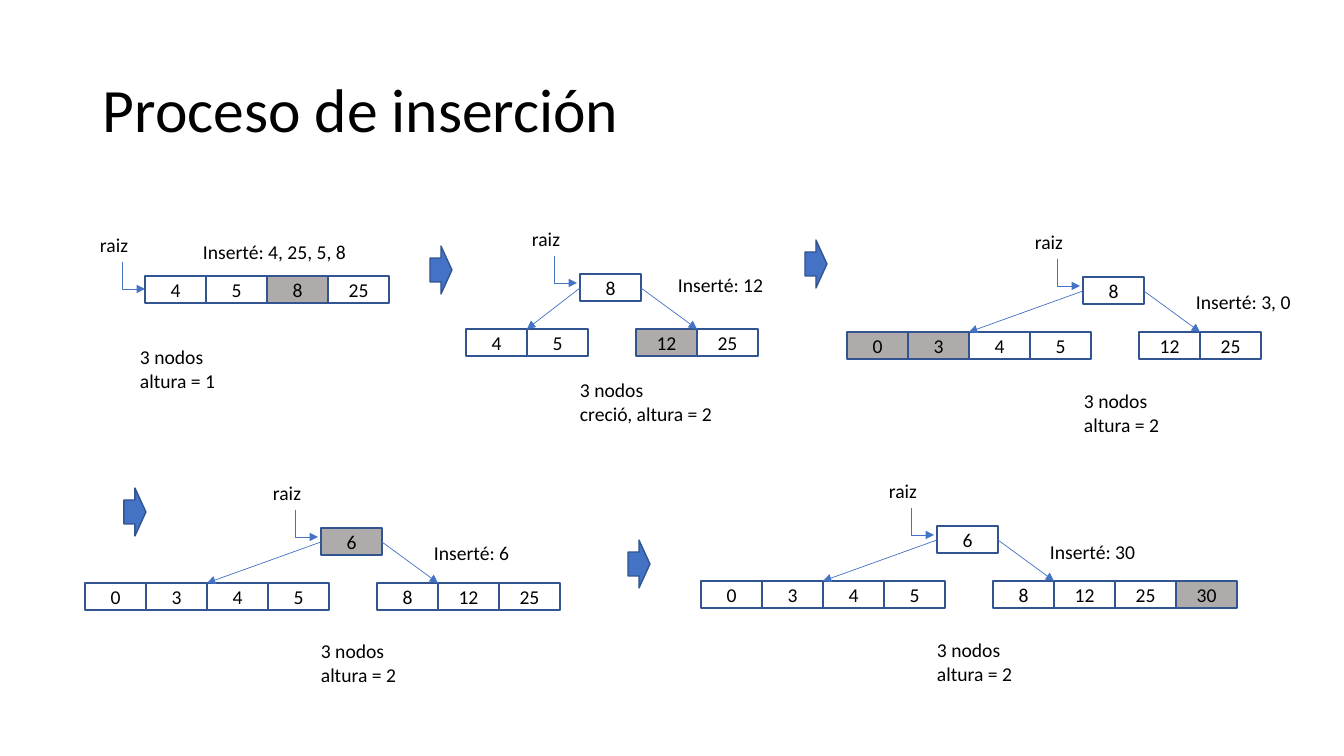
from lxml import etree
from pptx import Presentation
from pptx.dml.color import RGBColor
from pptx.enum.shapes import MSO_CONNECTOR, MSO_SHAPE
from pptx.enum.text import MSO_ANCHOR, PP_ALIGN
from pptx.oxml.ns import qn
from pptx.util import Pt

STRAIGHT = MSO_CONNECTOR.STRAIGHT
RECTANGLE, RIGHT_ARROW = MSO_SHAPE.RECTANGLE, MSO_SHAPE.RIGHT_ARROW
TOP, MIDDLE = MSO_ANCHOR.TOP, MSO_ANCHOR.MIDDLE
LEFT, CENTER = PP_ALIGN.LEFT, PP_ALIGN.CENTER

SCALE = 9071  # EMU per pixel
FONT = "Calibri"
BLACK, BLUE, DARK_BLUE, GRAY = "000000", "4472C4", "325491", "AFABAB"
CELL_WIDTH, CELL_HEIGHT = 61, 27
CHILD_DROP = 55
color = RGBColor.from_string

presentation = Presentation()
presentation.slide_width = 1344 * SCALE
presentation.slide_height = 756 * SCALE
slide = presentation.slides.add_slide(presentation.slide_layouts[6])
shapes = slide.shapes


def write_text(shape, text, size=14, align=LEFT, anchor=TOP, wrap=False, spacing=None):
    frame = shape.text_frame
    frame.text = text
    frame.word_wrap = wrap
    frame.vertical_anchor = anchor
    for paragraph in frame.paragraphs:
        paragraph.alignment = align
        paragraph.line_spacing = spacing
        paragraph.font.name = FONT
        paragraph.font.size = Pt(size)
        paragraph.font.color.rgb = color(BLACK)


def add_pointer(start_x, start_y, end_x, end_y):
    points = [value * SCALE for value in (start_x, start_y, end_x, end_y)]
    connector = shapes.add_connector(STRAIGHT, *points)
    connector.line.color.rgb = color(BLUE)
    connector.line.width = Pt(0.5)
    etree.SubElement(connector.line._get_or_add_ln(), qn("a:tailEnd"), type="triangle")
    etree.SubElement(connector._element.spPr, qn("a:effectLst"))
    return connector


# Title
title = shapes.add_textbox(93 * SCALE, 40 * SCALE, 1159 * SCALE, 146 * SCALE)
write_text(title, "Proceso de inserción", size=44, anchor=MIDDLE, wrap=True, spacing=0.9)

# Stages: root corner, root keys, left keys, right keys, new keys,
# then (left, top, width, text) of the insertion label and of the summary
stages = [
    (145, 276, [4, 5, 8, 25], [], [], {8},
     (193, 235, 165, "Inserté: 4, 25, 5, 8"), (130, 340, 97, "3 nodos\naltura = 1")),
    (580, 274, [8], [4, 5], [12, 25], {12},
     (668, 268, 107, "Inserté: 12"), (570, 373, 153, "3 nodos\ncreció, altura = 2")),
    (1083, 277, [8], [0, 3, 4, 5], [12, 25], {0, 3},
     (1186, 285, 116, "Inserté: 3, 0"), (1074, 384, 97, "3 nodos\naltura = 2")),
    (321, 528, [6], [0, 3, 4, 5], [8, 12, 25], {6},
     (424, 536, 97, "Inserté: 6"), (311, 634, 97, "3 nodos\naltura = 2")),
    (937, 526, [6], [0, 3, 4, 5], [8, 12, 25, 30], {30},
     (1040, 535, 107, "Inserté: 30"), (927, 633, 97, "3 nodos\naltura = 2")),
]

for root_x, root_y, root_keys, left_keys, right_keys, new_keys, inserted, summary in stages:
    child_y = root_y + CHILD_DROP
    left_x = root_x + 8 - CELL_WIDTH * len(left_keys)
    right_x = root_x + 56
    nodes = [(root_x, root_y, root_keys), (left_x, child_y, left_keys),
             (right_x, child_y, right_keys)]

    # Node cells
    for node_x, node_y, keys in nodes:
        for index, key in enumerate(keys):
            cell = shapes.add_shape(
                RECTANGLE, (node_x + index * CELL_WIDTH) * SCALE, node_y * SCALE,
                CELL_WIDTH * SCALE, CELL_HEIGHT * SCALE)
            cell.shadow.inherit = False
            if key in new_keys:
                cell.fill.solid()
                cell.fill.fore_color.rgb = color(GRAY)
            else:
                cell.fill.background()
            cell.line.color.rgb = color(DARK_BLUE)
            cell.line.width = Pt(1)
            write_text(cell, str(key), align=CENTER, anchor=MIDDLE, wrap=True)

    # Pointers to the children
    tip_x, tip_y = root_x, root_y + 13
    if left_keys:
        tip_x, tip_y = root_x - 3, root_y + 9
        middle_x = left_x + CELL_WIDTH * len(left_keys) // 2
        add_pointer(root_x, root_y + 14, middle_x, child_y)
        add_pointer(root_x + CELL_WIDTH, root_y + 14, right_x + CELL_WIDTH, child_y)

    # Root pointer: an elbow that runs down, then right
    elbow = add_pointer(tip_x + 2, tip_y - 25, tip_x - 25, tip_y - 2)
    elbow._element.spPr.prstGeom.set("prst", "bentConnector2")
    elbow._element.spPr.xfrm.set("rot", "16200000")

    # Labels
    root_label = (tip_x - 55, tip_y - 61, 48, "raiz")
    for label_x, label_y, width, text in (root_label, inserted, summary):
        height = 57 if "\n" in text else 34
        label = shapes.add_textbox(
            label_x * SCALE, label_y * SCALE, width * SCALE, height * SCALE)
        write_text(label, text)

# Block arrows between stages
for arrow_x, arrow_y in [(430, 246), (805, 240), (124, 488), (628, 540)]:
    arrow = shapes.add_shape(
        RIGHT_ARROW, arrow_x * SCALE, arrow_y * SCALE, 22 * SCALE, 48 * SCALE)
    arrow.shadow.inherit = False
    arrow.fill.solid()
    arrow.fill.fore_color.rgb = color(BLUE)
    arrow.line.color.rgb = color(DARK_BLUE)
    arrow.line.width = Pt(1)

presentation.save("out.pptx")
